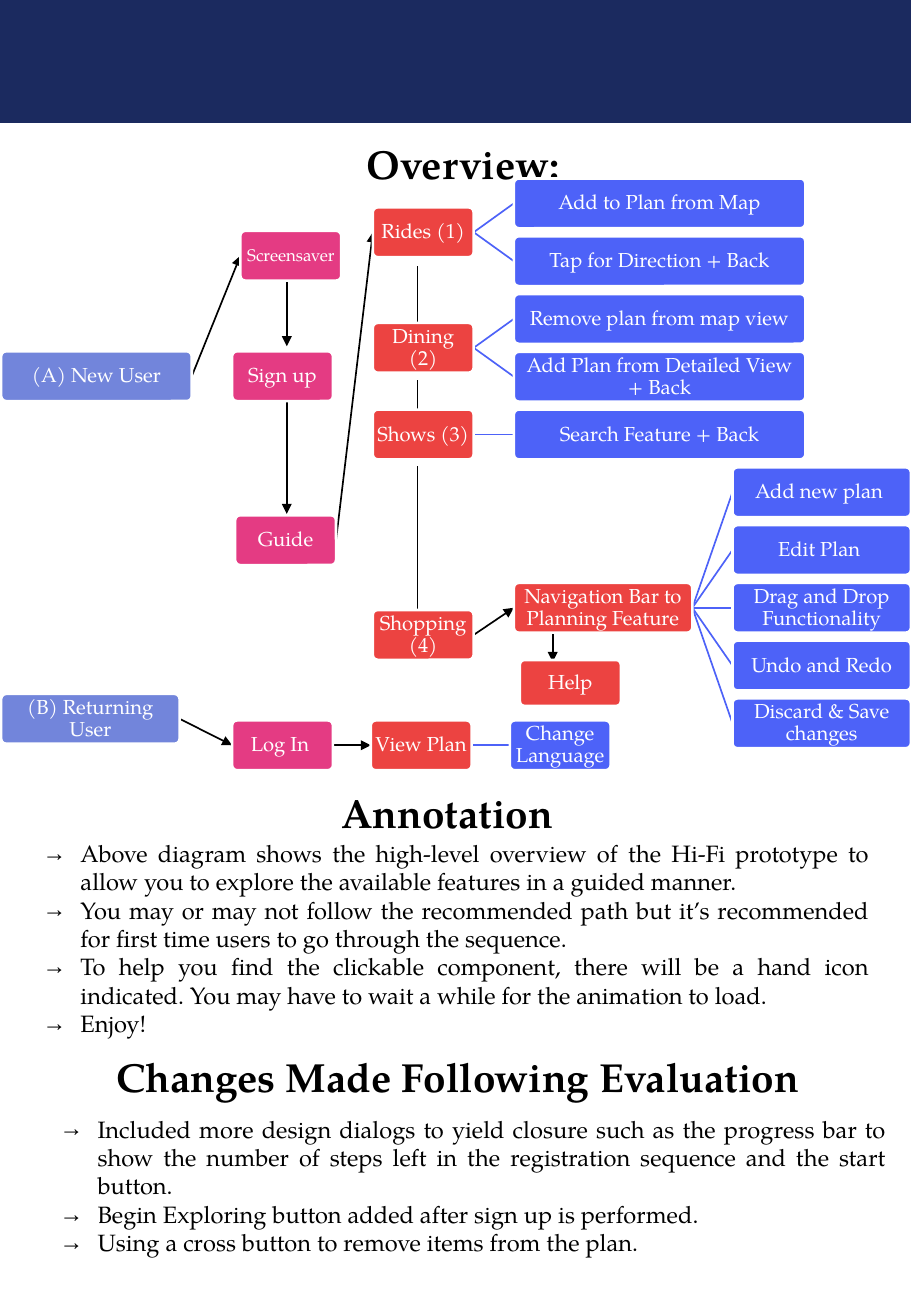
from pptx import Presentation
from pptx.dml.color import RGBColor
from pptx.enum import shapes, text
from pptx.oxml.ns import qn
from pptx.util import Pt
from lxml import etree

THEME = {
    "font": "TeX Gyre Pagella",
    "heading": 24, "body": 14, "label": 12, "small": 10,
    "band": "1B2A5F", "user": "7285DB", "step": "E43B83", "hub": "EC4341",
    "feature": "4D62F8", "black": "000000", "white": "FFFFFF",
}
SLIDE_W, SLIDE_H, BAND_H = 540, 780, 72.7

# (text, left, top, width, height)
HEADINGS = [
    ("Overview:", 210.2, 78.5, 150.5, 36),
    ("Annotation", 195.1, 463.7, 150.5, 36),
    ("Changes Made Following Evaluation", 61.9, 619.9, 436.3, 36),
]
LISTS = [
    ([
        "Above diagram shows the high-level overview of the Hi-Fi prototype to allow you to explore the available features in a guided manner.",
        "You may or may not follow the recommended path but it’s recommended for first time users to go through the sequence.",
        "To help you find the clickable component, there will be a hand icon indicated. You may have to wait a while for the animation to load.",
        "Enjoy!",
    ], 18, 493.6, 504.7, 126),
    ([
        "Included more design dialogs to yield closure such as the progress bar to show the number of steps left in the registration sequence and the start button.",
        "Begin Exploring button added after sign up is performed.",
        "Using a cross button to remove items from the plan.",
    ], 28.1, 657, 504.7, 92),
]

# The tree sits on rows ROW apart, counted from TREE_TOP
TREE_TOP, ROW, BOX_H, NARROW, MEDIUM, WIDE = 105.8, 34.24, 29.5, 59.8, 105.8, 172.8
HUB_X, FEATURE_X, PLAN_X = 221, 304.6, 434.2
LOGIN_TOP = 427

# (hub, row, its features with the row of the first)
HUBS = [
    ("Rides (1)", 0.5, 0, ["Add to Plan from Map", "Tap for Direction + Back"]),
    ("Dining (2)", 2.5, 2, ["Remove plan from map view", "Add Plan from Detailed View + Back"]),
    ("Shows (3)", 4, 4, ["Search Feature + Back"]),
    ("Shopping (4)", 7.47, 0, []),
]
NAVIGATION = "Navigation Bar to Planning Feature"
PLAN_FIRST_ROW = 5
PLAN_FEATURES = ["Add new plan ", "Edit Plan ", "Drag and Drop Functionality",
                 "Undo and Redo", "Discard & Save changes"]
# (text, kind, left, top, width, height)
OTHER_BOXES = [
    ("(A) New User", "user", 0.7, 208.2, 113, BOX_H),
    ("(B) Returning User", "user", 0.7, 411.3, MEDIUM, BOX_H),
    ("Screensaver", "step", 142.5, 136.8, NARROW, BOX_H),
    ("Sign up", "step", 137.6, 208.2, NARROW, BOX_H),
    ("Guide", "step", 139.4, 305.4, NARROW, BOX_H),
    ("Log In ", "step", 137.6, LOGIN_TOP, NARROW, BOX_H),
    ("View Plan", "hub", 219.8, LOGIN_TOP, NARROW, BOX_H),
    ("Change Language", "feature", 302.2, LOGIN_TOP, NARROW, BOX_H),
    ("Help", "hub", 308.2, 391.2, NARROW, 27.2),
]
ARROWS = [
    ("(A) New User", "Screensaver"), ("Guide", "Rides (1)"), ("Shopping (4)", NAVIGATION),
    ("(B) Returning User", "Log In "), ("Log In ", "View Plan"),
]
# (x, from y, to y)
DOWN_ARROWS = [
    (247.5, 157.7, 197.3), (247.5, 225.4, 248.4), (247.5, 276.5, 367.2),
    (170, 165.6, 205.2), (170, 236.2, 304.6), (327.6, 375.8, 392.4),
]


def rgb(name):
    return RGBColor.from_string(THEME[name])


def apply(obj, **values):
    for name, value in values.items():
        setattr(obj, name, value)


def place(sp, *box):
    apply(sp, **dict(zip(("left", "top", "width", "height"), map(Pt, box))))


def write(p, words, size, color="black", bold=False, **layout):
    r = p.add_run()
    r.text = words
    apply(r.font, name=THEME["font"], size=Pt(THEME[size]), bold=bold)
    r.font.color.rgb = rgb(color)
    apply(p, space_before=Pt(0), **layout)


def open_frame(sp):
    apply(sp.text_frame, word_wrap=True, auto_size=text.MSO_AUTO_SIZE.NONE,
          vertical_anchor=text.MSO_ANCHOR.TOP)
    return sp.text_frame


def fill_list(sp, items):
    tf = open_frame(sp)
    for i, item in enumerate(items):
        p = tf.add_paragraph() if i else tf.paragraphs[0]
        pPr = p._p.get_or_add_pPr()
        pPr.set("marL", str(Pt(22.5)))
        pPr.set("indent", str(Pt(-22.5)))
        etree.SubElement(pPr, qn("a:buChar")).set("char", "→")
        write(p, item, "body", alignment=text.PP_ALIGN.JUSTIFY)


def add_block(s, shape, color, line_color, line_width, box):
    sp = s.shapes.add_shape(shape, *map(Pt, box))
    sp.shadow.inherit = False
    sp.fill.solid()
    sp.fill.fore_color.rgb = rgb(color)
    sp.line.color.rgb = rgb(line_color)
    sp.line.width = Pt(line_width)
    return sp


def add_box(s, label, kind, *box):
    sp = add_block(s, shapes.MSO_SHAPE.ROUNDED_RECTANGLE, kind, "white", 1.5, box)
    sp.adjustments[0] = 0.1
    tf = sp.text_frame
    apply(tf, word_wrap=True, vertical_anchor=text.MSO_ANCHOR.MIDDLE,
          **{f"margin_{side}": Pt(1.5) for side in ("left", "right", "top", "bottom")})
    write(tf.paragraphs[0], label, "small" if label == "Screensaver" else "label", "white",
          alignment=text.PP_ALIGN.CENTER, line_spacing=0.9)
    return sp


def add_line(s, behind, color="black", arrow=True, ends=(0, 0, 0, 0), joined=None):
    """Draw a line beneath the shape `behind`, by coordinates or joining two boxes side to side."""
    c = s.shapes.add_connector(shapes.MSO_CONNECTOR.STRAIGHT, *map(Pt, ends))
    if joined:
        c.begin_connect(joined[0], 3)
        c.end_connect(joined[1], 1)
    c.line.color.rgb = rgb(color)
    c.line.width = Pt(1)
    spPr = c._element.spPr
    if arrow:
        etree.SubElement(spPr.find(qn("a:ln")), qn("a:tailEnd")).set("type", "triangle")
    etree.SubElement(spPr, qn("a:effectLst"))
    behind._element.addprevious(c._element)


def row_top(row):
    return TREE_TOP + ROW * row


def layout_diagram():
    """Return every box and the (hub, feature) links."""
    boxes, links = list(OTHER_BOXES), []
    for hub, row, first, features in HUBS:
        boxes.append((hub, "hub", HUB_X, row_top(row), NARROW, BOX_H))
        for i, feature in enumerate(features, first):
            boxes.append((feature, "feature", FEATURE_X, row_top(i), WIDE, BOX_H))
            links.append((hub, feature))
    boxes.append((NAVIGATION, "hub", FEATURE_X, row_top(7), MEDIUM, BOX_H))
    for i, feature in enumerate(PLAN_FEATURES, PLAN_FIRST_ROW):
        boxes.append((feature, "feature", PLAN_X, row_top(i), MEDIUM, BOX_H))
        links.append((NAVIGATION, feature))
    return boxes, links + [("View Plan", "Change Language")]


def main():
    prs = Presentation()
    apply(prs, slide_width=Pt(SLIDE_W), slide_height=Pt(SLIDE_H))
    s = prs.slides.add_slide(prs.slide_layouts.get_by_name("Comparison"))
    holders = {sp.placeholder_format.idx: sp for sp in s.placeholders}

    for idx, (words, *box) in zip((0, 1, 3), HEADINGS):
        place(holders[idx], *box)
        write(open_frame(holders[idx]).paragraphs[0], words, "heading", bold=True,
              alignment=text.PP_ALIGN.LEFT)
    for idx, (items, *box) in zip((2, 4), LISTS):
        place(holders[idx], *box)
        fill_list(holders[idx], items)

    add_block(s, shapes.MSO_SHAPE.RECTANGLE, "band", "band", 1, (0, 0, SLIDE_W, BAND_H))

    boxes, links = layout_diagram()
    nodes = {box[0]: add_box(s, *box) for box in boxes}
    lowest = nodes[boxes[0][0]]
    for x, y1, y2 in DOWN_ARROWS:
        add_line(s, lowest, ends=(x, y1, x, y2))
    for a, b in ARROWS:
        add_line(s, lowest, joined=(nodes[a], nodes[b]))
    for a, b in links:
        add_line(s, lowest, "feature", False, joined=(nodes[a], nodes[b]))
    prs.save("out.pptx")


if __name__ == "__main__":
    main()
